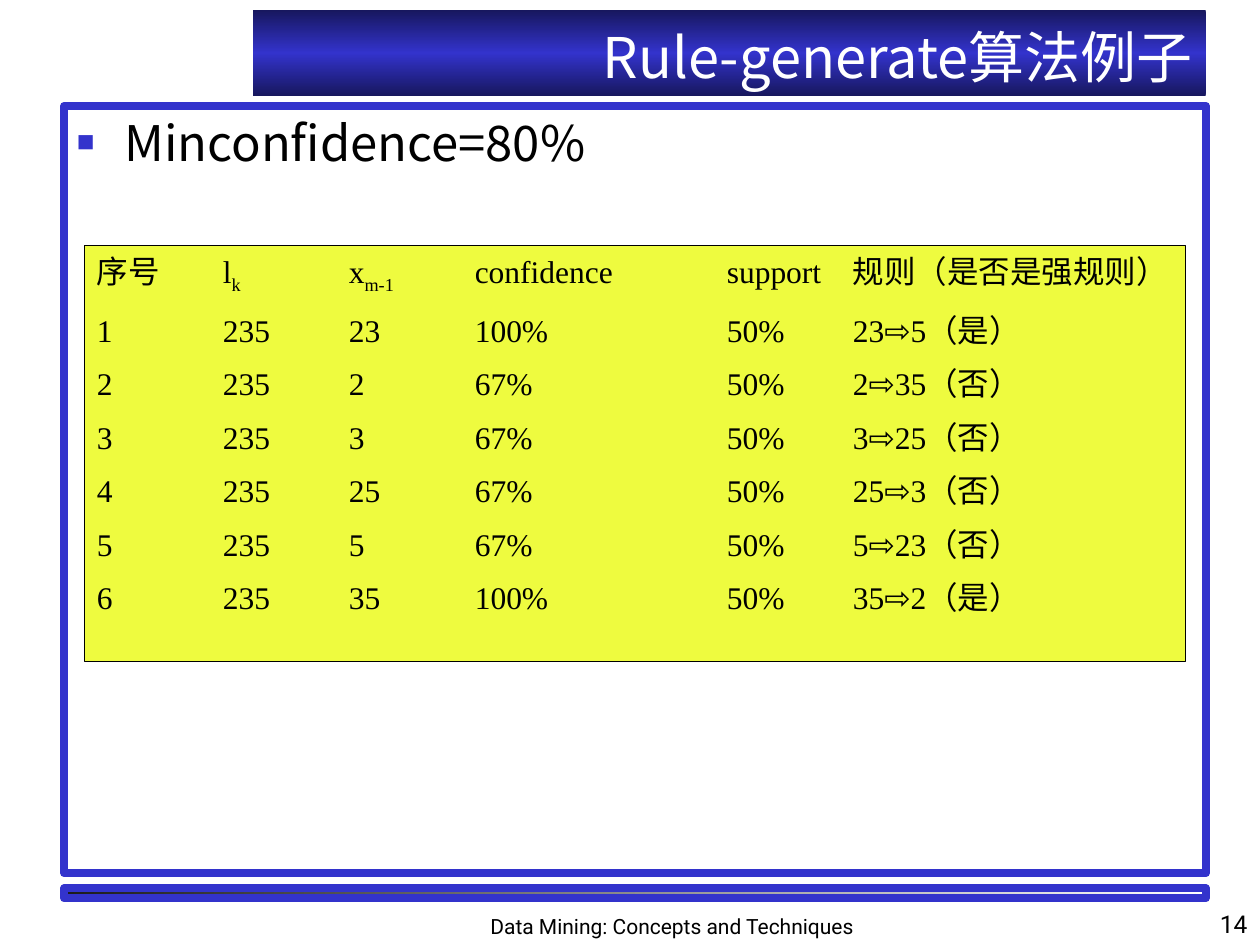
from lxml import etree
from pptx import Presentation
from pptx.dml.color import RGBColor
from pptx.enum.shapes import MSO_SHAPE
from pptx.enum.text import MSO_ANCHOR, MSO_AUTO_SIZE, PP_ALIGN
from pptx.oxml import parse_xml
from pptx.oxml.ns import nsdecls, qn
from pptx.util import Inches, Pt

RECTANGLE = MSO_SHAPE.RECTANGLE
TOP, BOTTOM = MSO_ANCHOR.TOP, MSO_ANCHOR.BOTTOM
LEFT, CENTER, RIGHT = PP_ALIGN.LEFT, PP_ALIGN.CENTER, PP_ALIGN.RIGHT
CJK, SERIF, SANS = "Noto Sans CJK SC", "Times New Roman", "Roboto"
BLUE, BLACK, WHITE = "3333CC", "000000", "FFFFFF"

presentation = Presentation()
presentation.slide_width, presentation.slide_height = Inches(10), Inches(7.5)
slide = presentation.slides.add_slide(presentation.slide_layouts[1])
shapes = slide.shapes
title, body = slide.placeholders


def add_run(paragraph, text, size, font, color=BLACK, east_asian=CJK, baseline=0):
    run = paragraph.add_run()
    run.text = text
    for name, value in {"size": Pt(size), "name": font, "bold": False}.items():
        setattr(run.font, name, value)
    run.font.color.rgb = RGBColor.from_string(color)
    properties = run.font._element
    etree.SubElement(properties, qn("a:ea")).set("typeface", east_asian)
    if baseline:
        properties.set("baseline", str(baseline * 1000))


def set_gradient(shape, angle, stops):
    """Fill a shape with (percent, colour) stops."""
    shape.fill.gradient()
    shape.fill.gradient_angle = angle
    stop_list = shape._element.spPr.find(qn("a:gradFill")).find(qn("a:gsLst"))
    for stop in list(stop_list):
        stop_list.remove(stop)
    for percent, color in stops:
        stop_list.append(parse_xml(
            f'<a:gs {nsdecls("a")} pos="{percent * 1000}"><a:srgbClr val="{color}"/></a:gs>'))


footer_bar = shapes.add_shape(RECTANGLE, 0, 0, 0, 0)
rule_panel = shapes.add_shape(RECTANGLE, 0, 0, 0, 0)
footer = shapes.add_textbox(0, 0, 0, 0)
page_number = shapes.add_textbox(0, 0, 0, 0)

# Left, top, width and height as percentages of the slide
layout = [
    (footer_bar, (5.1, 94, 90.6, 1.07), TOP, LEFT),
    (title, (20.1, 1.07, 75.6, 9.07), BOTTOM, RIGHT),
    (body, (5.1, 11.2, 90.6, 81.2), TOP, LEFT),
    (rule_panel, (6.7, 26, 87.4, 44), TOP, LEFT),
    (footer, (37.5, 94.4, 31.7, 5.6), BOTTOM, CENTER),
    (page_number, (79.2, 93.33, 20.8, 6.67), BOTTOM, RIGHT),
]
for shape, (left, top, width, height), anchor, alignment in layout:
    box = {
        "left": presentation.slide_width * left / 100,
        "top": presentation.slide_height * top / 100,
        "width": presentation.slide_width * width / 100,
        "height": presentation.slide_height * height / 100,
    }
    for name, value in box.items():
        setattr(shape, name, round(value))
    frame_format = {"word_wrap": True, "auto_size": MSO_AUTO_SIZE.NONE, "vertical_anchor": anchor}
    for name, value in frame_format.items():
        setattr(shape.text_frame, name, value)
    shape.text_frame.paragraphs[0].alignment = alignment

for shape, color, width in [(footer_bar, BLUE, 4.5), (body, BLUE, 4.5), (rule_panel, BLACK, 0.75)]:
    shape.line.color.rgb = RGBColor.from_string(color)
    shape.line.width = Pt(width)
for shape in (footer_bar, rule_panel):
    shape.shadow.inherit = False

set_gradient(footer_bar, 0, [(0, "1C1C1C"), (100, WHITE)])
set_gradient(title, 90, [(0, "17175E"), (50, BLUE), (100, "17175E")])
rule_panel.fill.solid()
rule_panel.fill.fore_color.rgb = RGBColor.from_string("EEFB3F")

add_run(title.text_frame.paragraphs[0], "Rule-generate算法例子", 32, CJK, WHITE)
add_run(footer.text_frame.paragraphs[0], "Data Mining: Concepts and Techniques", 12, SANS)
add_run(page_number.text_frame.paragraphs[0], "14", 14, SANS)

# Square-bulleted condition
condition = body.text_frame.paragraphs[0]
bullet_properties = condition._p.get_or_add_pPr()
bullet_properties.set("marL", str(Inches(0.38)))
bullet_properties.set("indent", str(-Inches(0.38)))
for bullet in (f'<a:buClr {nsdecls("a")}><a:srgbClr val="{BLUE}"/></a:buClr>',
               f'<a:buSzPct {nsdecls("a")} val="60000"/>',
               f'<a:buChar {nsdecls("a")} char="■"/>'):
    bullet_properties.append(parse_xml(bullet))
condition.space_before = Pt(0)
add_run(condition, "Minconfidence=80%", 28, "Noto Sans CJK JP", east_asian="Noto Sans CJK JP")

# Tabbed list of candidate rules
itemset = "235"
candidates = [
    ("23", "100%", "5", "是"),
    ("2", "67%", "35", "否"),
    ("3", "67%", "25", "否"),
    ("25", "67%", "3", "否"),
    ("5", "67%", "23", "否"),
    ("35", "100%", "2", "是"),
]
rows = [[("序号\tl", SERIF, 0), ("k", SERIF, -25), ("\tx", SERIF, 0), ("m-1", SERIF, -25),
         ("\tconfidence\tsupport\t规则（是否是强规则）", SERIF, 0)]]
for number, (premise, confidence, conclusion, strong) in enumerate(candidates, 1):
    cells = [str(number), itemset, premise, confidence, "50%", premise]
    rows.append([("\t".join(cells), SERIF, 0), ("⇨", "Arial", 0),
                 (f"{conclusion}（{strong}）", SERIF, 0)])

for index, row in enumerate(rows):
    frame = rule_panel.text_frame
    paragraph = frame.add_paragraph() if index else frame.paragraphs[0]
    tab_list = etree.SubElement(paragraph._p.get_or_add_pPr(), qn("a:tabLst"))
    for column in (1, 2, 3, 5, 6):
        tab = etree.SubElement(tab_list, qn("a:tab"))
        tab.set("pos", str(Inches(column)))
        tab.set("algn", "l")
    paragraph.alignment = LEFT
    paragraph.space_before = Pt(9 if index else 0)
    for text, font, baseline in row:
        add_run(paragraph, text, 18, font, baseline=baseline)

presentation.save("out.pptx")
